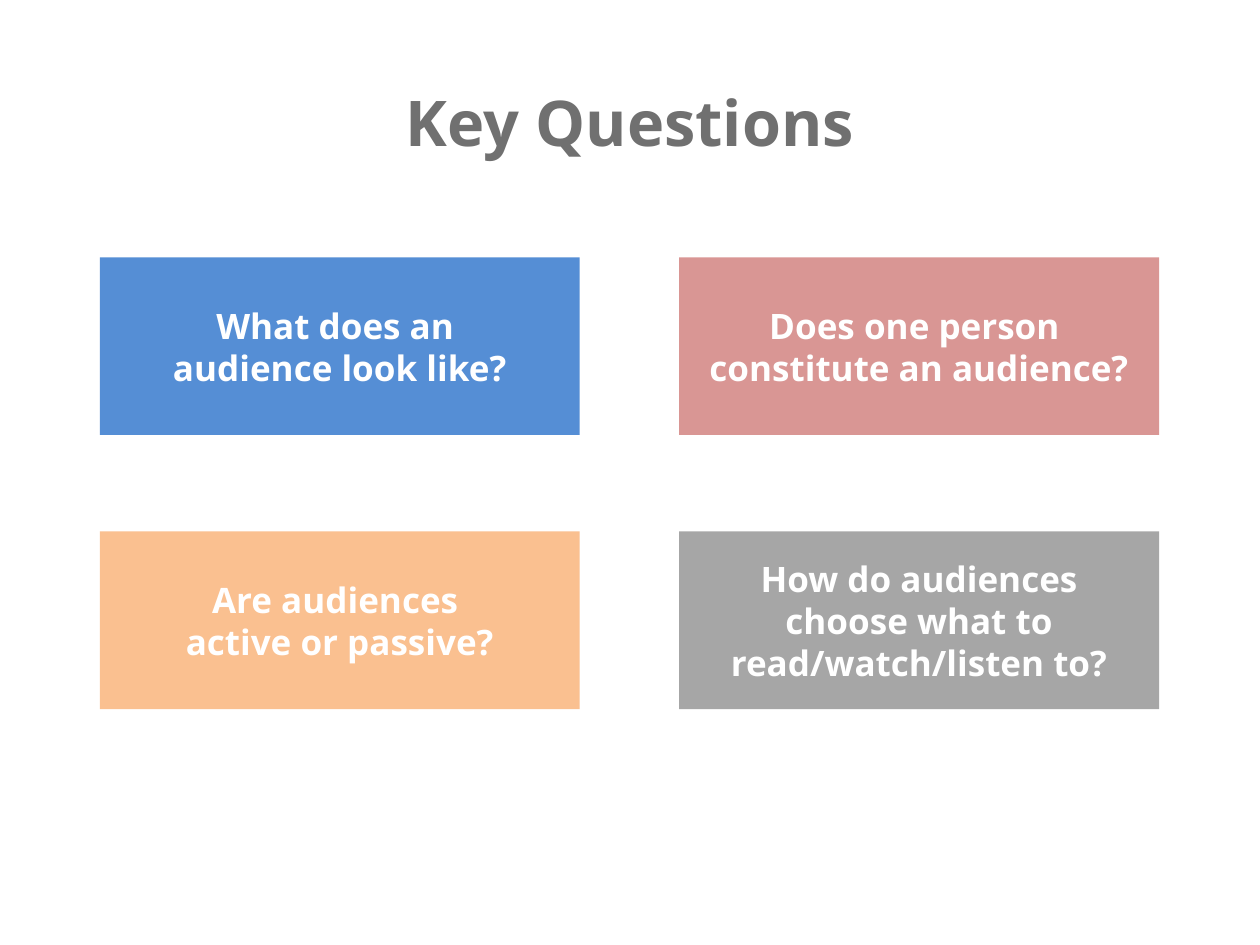
from pptx import Presentation
from pptx.dml.color import RGBColor
from pptx.enum.shapes import MSO_SHAPE
from pptx.enum.text import MSO_ANCHOR, PP_ALIGN
from pptx.util import Pt

RECT = MSO_SHAPE.RECTANGLE
TOP, MIDDLE = MSO_ANCHOR.TOP, MSO_ANCHOR.MIDDLE
CENTER = PP_ALIGN.CENTER

WHITE = RGBColor(0xFF, 0xFF, 0xFF)
DARK_GRAY = RGBColor(0x70, 0x70, 0x70)
BLUE = RGBColor(0x55, 0x8E, 0xD5)
ROSE = RGBColor(0xD9, 0x96, 0x94)
ORANGE = RGBColor(0xFA, 0xC0, 0x90)
GRAY = RGBColor(0xA6, 0xA6, 0xA6)

WIDTH, HEIGHT = 720, 540
CARD_W, CARD_H = 274.3, 101.5
LEFT, CARDS_TOP = 57, 147
STEP_X, STEP_Y = 331, 156.7
QUESTIONS = [
    (("What does an ", "audience look like?"), BLUE),
    (("Does one person ", "constitute an audience?"), ROSE),
    (("Are audiences ", "active or passive?"), ORANGE),
    (("How do audiences choose what to read/watch/listen to?",), GRAY),
]


class Deck:
    """Holds the text style and the current slide."""

    font = "Open Sans"

    def __init__(self, prs):
        self.s = prs.slides.add_slide(prs.slide_layouts[6])

    def add_text(self, sp, lines, size, color, inset, anchor):
        tf = sp.text_frame
        tf.word_wrap = True
        tf.vertical_anchor = anchor
        tf.margin_left = tf.margin_right = Pt(inset)
        tf.margin_top = tf.margin_bottom = Pt(inset)
        p = tf.paragraphs[0]
        p.alignment = CENTER
        for i, line in enumerate(lines):
            if i:
                p.add_line_break()
            r = p.add_run()
            r.text = line
            r.font.name = self.font
            r.font.size = Pt(size)
            r.font.bold = True
            r.font.color.rgb = color

    def title(self, text, y, h):
        sp = self.s.shapes.add_textbox(Pt(0), Pt(y), Pt(WIDTH), Pt(h))
        self.add_text(sp, [text], 36, DARK_GRAY, 0, TOP)

    def card(self, lines, x, y, fill):
        sp = self.s.shapes.add_shape(RECT, Pt(x), Pt(y), Pt(CARD_W), Pt(CARD_H))
        sp.shadow.inherit = False
        sp.fill.solid()
        sp.fill.fore_color.rgb = fill
        sp.line.fill.background()
        self.add_text(sp, lines, 20, WHITE, 14.4, MIDDLE)


def main():
    prs = Presentation()
    prs.slide_width, prs.slide_height = Pt(WIDTH), Pt(HEIGHT)
    deck = Deck(prs)
    deck.title("Key Questions", 47.7, 49)
    for i, (lines, fill) in enumerate(QUESTIONS):
        row, col = divmod(i, 2)
        deck.card(lines, LEFT + col * STEP_X, CARDS_TOP + row * STEP_Y, fill)
    prs.save("out.pptx")


if __name__ == "__main__":
    main()
